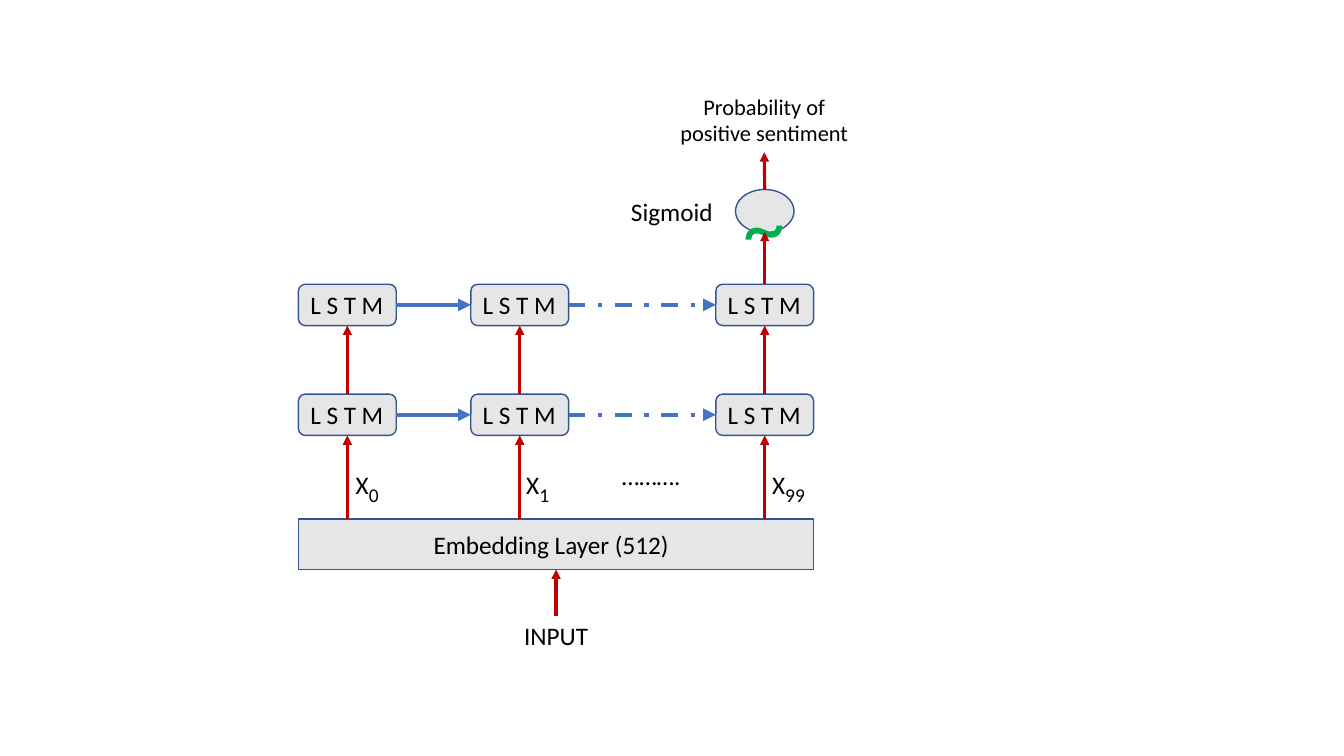
from lxml.etree import SubElement
from pptx import Presentation
from pptx.dml.color import RGBColor
from pptx.enum.dml import MSO_LINE
from pptx.enum.shapes import MSO_CONNECTOR, MSO_SHAPE
from pptx.enum.text import MSO_ANCHOR, PP_ALIGN
from pptx.oxml.ns import qn
from pptx.util import Inches, Pt


def paint(color, tone):
    color.rgb = RGBColor.from_string(tone)


def write(shape, runs, align=PP_ALIGN.LEFT, wrap=True):
    frame = shape.text_frame
    frame.word_wrap = wrap
    frame.vertical_anchor = MSO_ANCHOR.MIDDLE if shape in nodes else MSO_ANCHOR.TOP
    para = frame.paragraphs[0]
    para.alignment = align
    for text, size, tone, base in runs:
        run = para.add_run()
        run.text = text
        run.font.size = Pt(size)
        run.font.name = "Calibri"
        paint(run.font.color, tone)
        if base:
            run.font._element.set("baseline", str(base))


deck = Presentation()
deck.slide_width, deck.slide_height = Inches(13.33), Inches(7.5)
slide = deck.slides.add_slide(deck.slide_layouts[6])
shapes = slide.shapes

BLACK, GREEN, RED, BLUE = "000000", "00B050", "C00000", "4472C4"
cols = [2.96, 4.67, 7.1]
rows = [2.82, 3.91]
wide, high = 0.97, 0.41
mids = [left + wide / 2 for left in cols]
bed_top = 5.15

parts = [("bed", MSO_SHAPE.RECTANGLE, cols[0], bed_top, cols[2] + wide - cols[0], 0.5)]
parts += [((r, c), MSO_SHAPE.ROUNDED_RECTANGLE, left, top, wide, high)
          for r, top in enumerate(rows) for c, left in enumerate(cols)]
parts += [("gate", MSO_SHAPE.OVAL, mids[2] - 0.29, 1.88, 0.58, 0.43)]

grid = {}
for key, kind, *box in parts:
    node = shapes.add_shape(kind, *map(Inches, box))
    node.shadow.inherit = False
    node.fill.solid()
    paint(node.fill.fore_color, "E7E6E6")
    paint(node.line.color, "325491")
    node.line.width = Pt(1)
    grid[key] = node
nodes = list(grid.values())

for r in range(len(rows)):
    for c in range(len(cols)):
        write(grid[r, c], [("L S T M", 18, BLACK, 0)])
grid["bed"].text_frame.margin_left = Inches(1.34)
write(grid["bed"], [("Embedding Layer (512)", 18, BLACK, 0)])

labels = [
    ("dots", 6.07, 4.52, 1.45, 0.4, "……….", 18, BLACK, PP_ALIGN.LEFT, True),
    ("input", 5.07, 6.11, 0.89, 0.4, "INPUT", 18, BLACK, PP_ALIGN.CENTER, True),
    ("wave", 7.28, 1.66, 0.56, 1.11, "~", 60, GREEN, PP_ALIGN.LEFT, True),
    ("name", 6.16, 1.9, 1.02, 0.4, "Sigmoid", 18, BLACK, PP_ALIGN.LEFT, False),
    ("result", 6.53, 0.87, 2.1, 0.64, "Probability of positive sentiment",
     16, BLACK, PP_ALIGN.CENTER, True),
]
for key, left, top, width, height, text, size, tone, align, wrap in labels:
    grid[key] = shapes.add_textbox(*map(Inches, (left, top, width, height)))
    write(grid[key], [(text, size, tone, 0)], align, wrap)

for sub, left, width in [("0", 3.43, 0.48), ("1", 5.12, 0.48), ("99", 7.56, 0.56)]:
    box = shapes.add_textbox(*map(Inches, (left, 4.52, width, 0.4)))
    write(box, [("X", 18, BLACK, 0), (sub, 24, BLACK, -25000)])

links = []
for r in range(len(rows)):
    links += [((r, 0), 3, (r, 1), 1, BLUE, None, None),
              ((r, 1), 3, (r, 2), 1, BLUE, MSO_LINE.DASH_DOT, None)]
for c, mid in enumerate(mids):
    links += [((1, c), 0, (0, c), 2, RED, None, None),
              (None, 0, (1, c), 2, RED, None, (mid, bed_top, mid, rows[1] + high))]
links += [("input", 0, "bed", 2, RED, None, None),
          ((0, 2), 0, None, 0, RED, None, (mids[2], rows[0], mids[2], 2.3)),
          ("gate", 0, "result", 2, RED, None, None)]

for start, out, end, into, tone, dash, ends in links:
    link = shapes.add_connector(MSO_CONNECTOR.STRAIGHT, *map(Inches, ends or (0, 0, 0, 0)))
    if start:
        link.begin_connect(grid[start], out)
    if end:
        link.end_connect(grid[end], into)
    paint(link.line.color, tone)
    link.line.width = Pt(3 if tone == BLUE else 2.25)
    if dash:
        link.line.dash_style = dash
    SubElement(link.line._get_or_add_ln(), qn("a:tailEnd"), type="triangle")
    SubElement(link._element.spPr, qn("a:effectLst"))

deck.save("out.pptx")
